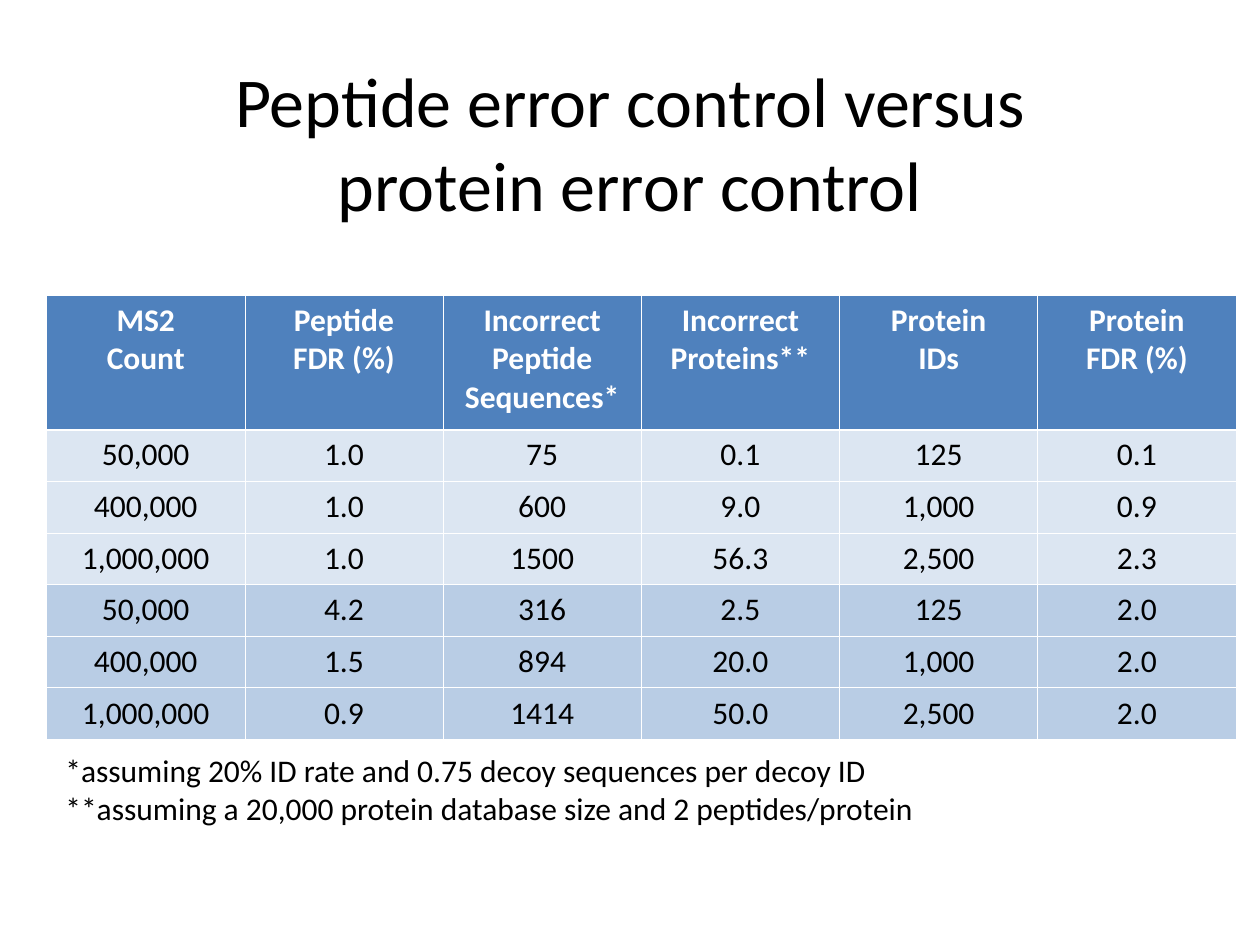
from lxml import etree
from pptx import Presentation
from pptx.dml.color import RGBColor
from pptx.enum.text import MSO_ANCHOR, PP_ALIGN
from pptx.oxml.ns import qn
from pptx.util import Inches, Pt

CENTER, LEFT = PP_ALIGN.CENTER, PP_ALIGN.LEFT
MIDDLE, TOP = MSO_ANCHOR.MIDDLE, MSO_ANCHOR.TOP
FONT = "Calibri"
BLACK, WHITE = "000000", "FFFFFF"
HEADER_FILL, FIXED_PEPTIDE_FILL, FIXED_PROTEIN_FILL = "4F81BD", "DCE6F2", "B9CDE5"
THIN, THICK = 0.45, 1.47

TITLE = ["Peptide error control versus", "protein error control"]
HEADERS = [
    ["MS2", "Count"],
    ["Peptide", "FDR (%)"],
    ["Incorrect Peptide Sequences*"],
    ["Incorrect", "Proteins**"],
    ["Protein", "IDs"],
    ["Protein", "FDR (%)"],
]
FIXED_PEPTIDE_ROWS = [
    ["50,000", "1.0", "75", "0.1", "125", "0.1"],
    ["400,000", "1.0", "600", "9.0", "1,000", "0.9"],
    ["1,000,000", "1.0", "1500", "56.3", "2,500", "2.3"],
]
FIXED_PROTEIN_ROWS = [
    ["50,000", "4.2", "316", "2.5", "125", "2.0"],
    ["400,000", "1.5", "894", "20.0", "1,000", "2.0"],
    ["1,000,000", "0.9", "1414", "50.0", "2,500", "2.0"],
]
FOOTNOTES = [
    "*assuming 20% ID rate and 0.75 decoy sequences per decoy ID",
    "**assuming a 20,000 protein database size and 2 peptides/protein",
]


def color(hex_string):
    return RGBColor.from_string(hex_string)


def add_run(paragraph, text, size, hex_string, bold=False):
    run = paragraph.add_run()
    run.text = text
    run.font.name = FONT
    run.font.size = Pt(size)
    run.font.bold = bold
    run.font.color.rgb = color(hex_string)


def write_paragraphs(text_frame, lines, alignment, size, hex_string, bold=False):
    for index, line in enumerate(lines):
        paragraph = text_frame.add_paragraph() if index else text_frame.paragraphs[0]
        paragraph.alignment = alignment
        add_run(paragraph, line, size, hex_string, bold)


def add_text_frame(slide, left, top, width, height, anchor, wrap):
    box = slide.shapes.add_textbox(Inches(left), Inches(top), Inches(width), Inches(height))
    box.text_frame.vertical_anchor = anchor
    box.text_frame.word_wrap = wrap
    return box.text_frame


def add_title(slide):
    text_frame = add_text_frame(slide, 0.5, 0.5, 9, 1.25, MIDDLE, True)
    paragraph = text_frame.paragraphs[0]
    paragraph.alignment = CENTER
    for index, line in enumerate(TITLE):
        if index:
            paragraph.add_line_break()
        add_run(paragraph, line, 40, BLACK)


def set_borders(cell, top, bottom):
    """Draw white borders; must run before the cell is filled."""
    properties = cell._tc.get_or_add_tcPr()
    for side, width in (("lnL", THIN), ("lnR", THIN), ("lnT", top), ("lnB", bottom)):
        line = etree.SubElement(properties, qn(f"a:{side}"), w=str(int(Pt(width))))
        fill = etree.SubElement(line, qn("a:solidFill"))
        etree.SubElement(fill, qn("a:srgbClr"), val=WHITE)


def add_error_table(slide):
    rows = [(HEADERS, HEADER_FILL)]
    for group, fill in ((FIXED_PEPTIDE_ROWS, FIXED_PEPTIDE_FILL),
                        (FIXED_PROTEIN_ROWS, FIXED_PROTEIN_FILL)):
        rows += [([[value] for value in values], fill) for values in group]

    table = slide.shapes.add_table(
        len(rows), len(HEADERS), Inches(0.37), Inches(2.34), Inches(9.44), Inches(3.51)
    ).table
    for row_index, (contents, fill) in enumerate(rows):
        is_header = row_index == 0
        table.rows[row_index].height = Inches(1.07 if is_header else 0.41)
        for column_index, lines in enumerate(contents):
            cell = table.cell(row_index, column_index)
            set_borders(cell, THICK if row_index == 1 else THIN, THICK if is_header else THIN)
            cell.fill.solid()
            cell.fill.fore_color.rgb = color(fill)
            write_paragraphs(cell.text_frame, lines, CENTER, 18,
                             WHITE if is_header else BLACK, is_header)


def add_footnotes(slide):
    text_frame = add_text_frame(slide, 0.42, 5.91, 6.95, 0.7, TOP, False)
    write_paragraphs(text_frame, FOOTNOTES, LEFT, 18, BLACK)


def main():
    presentation = Presentation()
    presentation.slide_width = Inches(10)
    presentation.slide_height = Inches(7.5)
    slide = presentation.slides.add_slide(presentation.slide_layouts[6])
    add_title(slide)
    add_error_table(slide)
    add_footnotes(slide)
    presentation.save("out.pptx")


if __name__ == "__main__":
    main()
